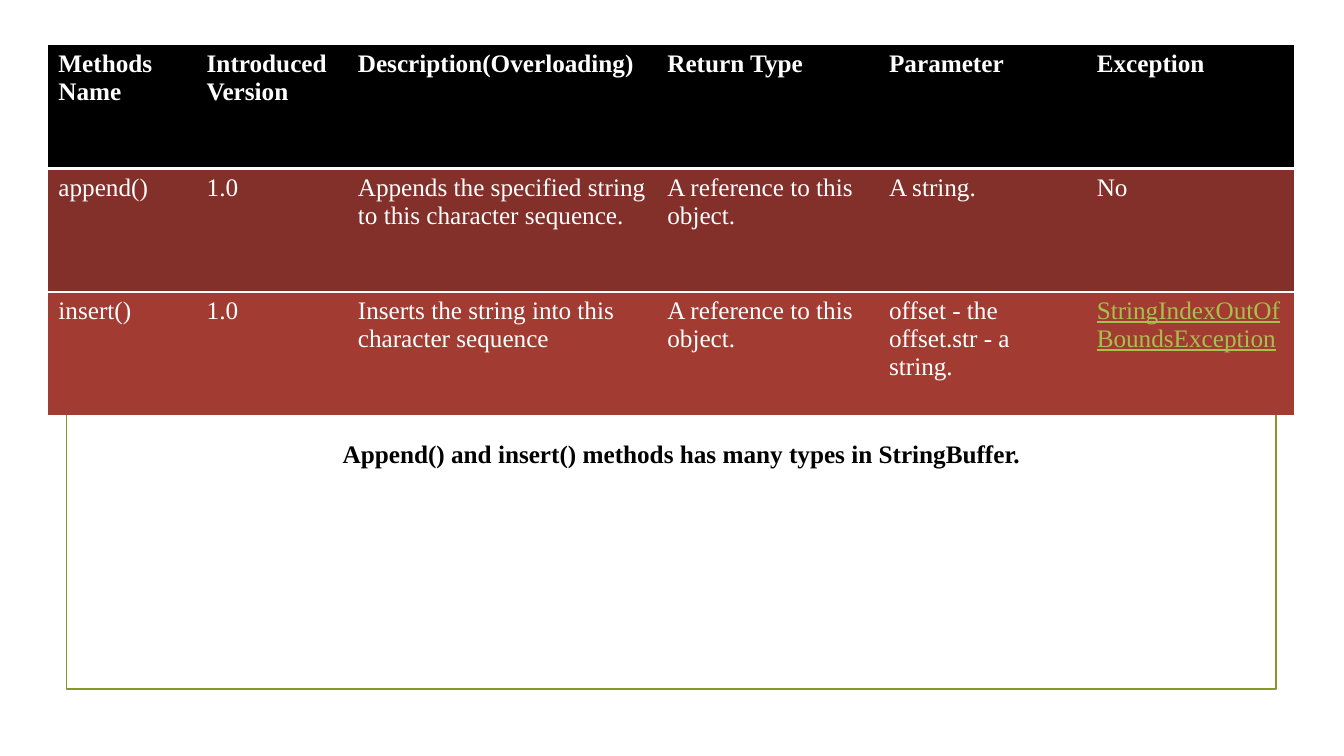
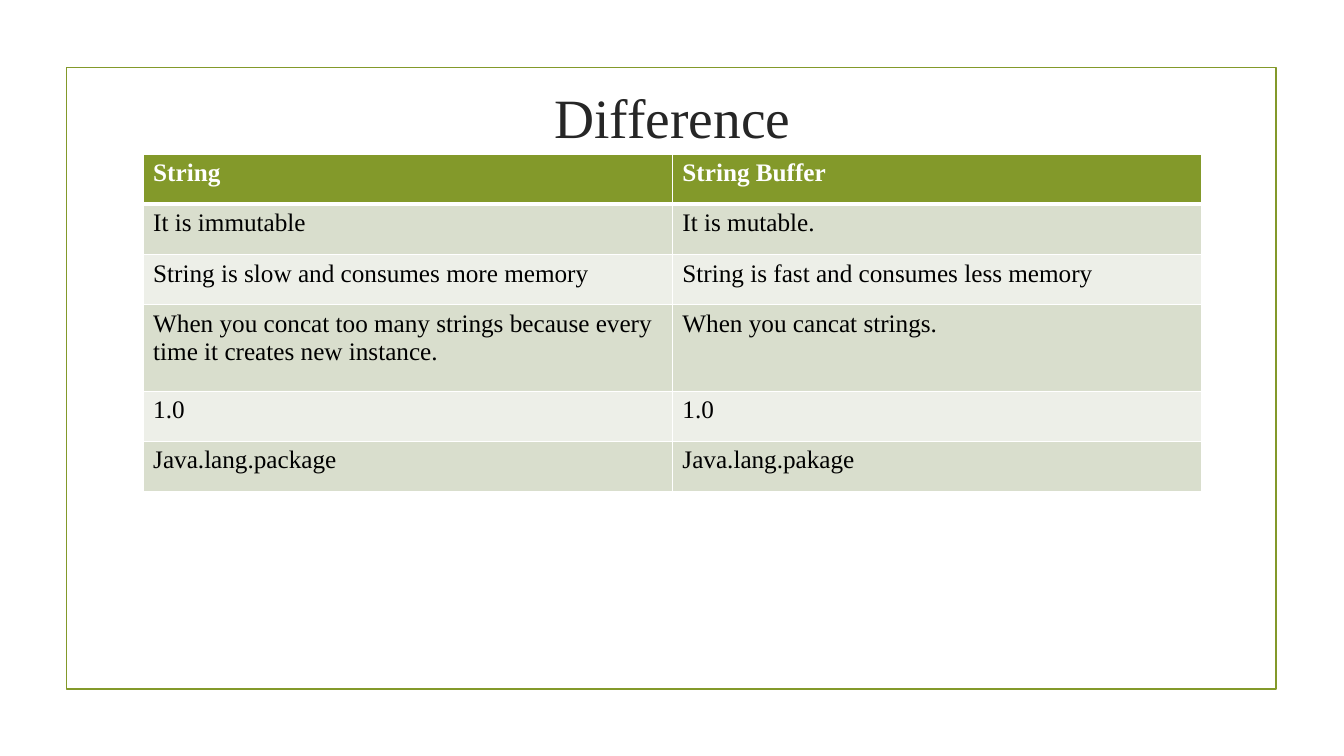
from dataclasses import dataclass
from typing import Any, NamedTuple

from lxml.etree import SubElement
from pptx import Presentation
from pptx.dml.color import RGBColor
from pptx.enum.shapes import MSO_SHAPE
from pptx.enum.text import MSO_ANCHOR, PP_ALIGN
from pptx.oxml.ns import qn
from pptx.util import Inches, Pt

WIDE, HIGH = Inches(13.33), Inches(7.5)
FONT = "Times New Roman"
WHITE, BLACK, GRAY = "FFFFFF", "000000", "262626"
OLIVE, LIME = "83992A", "A8BF4D"
NO_STYLE = "{2D5ABB26-0587-4C30-8999-92F81FD0307C}"
BODY = {"name": FONT, "size": Pt(18), "bold": False}
BOLD = BODY | {"bold": True}
TITLE = BODY | {"size": Pt(39.6)}
LINK = BODY | {"underline": True}


class Box(NamedTuple):
    left: float
    top: float
    width: float
    height: float


@dataclass(frozen=True)
class Label:
    text: str
    box: Box
    style: dict[str, Any]
    color: str
    align: PP_ALIGN = PP_ALIGN.LEFT
    anchor: MSO_ANCHOR = MSO_ANCHOR.TOP


@dataclass(frozen=True)
class Grid:
    left: float
    top: float
    cols: list[float]
    rows: list[float]
    cells: list[list[str]]
    head: str
    bands: tuple[str, str]
    ink: str
    rule: float
    line: float = 0
    link: str = ""


@dataclass(frozen=True)
class Page:
    grid: Grid
    label: Label


FRAME = Box(4.95, 8.93, 90, 82.27)

PAGES = [
    Page(
        Grid(
            3.6, 6, [11.03, 11.25, 23.03, 16.5, 15.45, 15.45], [16.3] * 3,
            [
                ["Methods Name", "Introduced Version", "Description(Overloading)",
                 "Return Type", "Parameter", "Exception"],
                ["append()", "1.0",
                 "Appends the specified string to this character sequence.",
                 "A reference to this object.", "A string.", "No"],
                ["insert()", "1.0", "Inserts the string into this character sequence",
                 "A reference to this object.", "offset - the offset.str - a string.",
                 "StringIndexOutOfBoundsException"],
            ],
            BLACK, ("823029", "A23C33"), WHITE, 2,
            link="StringIndexOutOfBoundsException",
        ),
        Label("Append() and insert() methods has many types in StringBuffer.",
              Box(24.76, 57.33, 54.7, 5.33), BOLD, BLACK),
    ),
    Page(
        Grid(
            10.65, 20.4, [39.38] * 2, [6.63, 6.63, 6.63, 11.47, 6.63, 6.63],
            [
                ["String", "String Buffer"],
                ["It is immutable", "It is mutable."],
                ["String is slow and consumes more memory",
                 "String is fast and consumes less memory"],
                ["When you concat too many strings because every time it creates new instance.",
                 "When you cancat strings."],
                ["1.0", "1.0"],
                ["Java.lang.package", "Java.lang.pakage"],
            ],
            OLIVE, ("D9DECD", "EDEFE8"), BLACK, 3, line=1,
        ),
        Label("Difference", Box(10.65, 10.27, 78.76, 10.13), TITLE, GRAY,
              PP_ALIGN.CENTER, MSO_ANCHOR.MIDDLE),
    ),
]


def rgb(code: str) -> RGBColor:
    return RGBColor.from_string(code)


def across(share: float) -> int:
    return round(WIDE * share / 100)


def down(share: float) -> int:
    return round(HIGH * share / 100)


def place(box: Box) -> tuple[int, int, int, int]:
    return across(box.left), down(box.top), across(box.width), down(box.height)


def write(frame: Any, text: str, style: dict[str, Any], color: str) -> None:
    run = frame.paragraphs[0].add_run()
    run.text = text
    for key, value in style.items():
        setattr(run.font, key, value)
    run.font.color.rgb = rgb(color)


def draw_frame(slide: Any) -> None:
    shape = slide.shapes.add_shape(MSO_SHAPE.RECTANGLE, *place(FRAME))
    shape.shadow.inherit = False
    shape.fill.background()
    shape.line.color.rgb = rgb(OLIVE)
    shape.line.width = Pt(1.25)


def draw_label(slide: Any, label: Label) -> None:
    frame = slide.shapes.add_textbox(*place(label.box)).text_frame
    frame.word_wrap = True
    frame.vertical_anchor = label.anchor
    frame.paragraphs[0].alignment = label.align
    write(frame, label.text, label.style, label.color)


def edge(cell: Any, sides: dict[str, float]) -> None:
    props = cell._tc.get_or_add_tcPr()
    for side, width in sides.items():
        if width:
            line = SubElement(props, qn(f"a:ln{side}"), w=str(Pt(width)))
            fill = SubElement(line, qn("a:solidFill"))
            SubElement(fill, qn("a:srgbClr"), val=WHITE)


def draw_grid(slide: Any, grid: Grid) -> None:
    box = Box(grid.left, grid.top, sum(grid.cols), sum(grid.rows))
    table = slide.shapes.add_table(len(grid.rows), len(grid.cols), *place(box)).table
    table.horz_banding = False
    table._tbl.tblPr.find(qn("a:tableStyleId")).text = NO_STYLE
    for col, share in zip(table.columns, grid.cols):
        col.width = across(share)
    for row, share in zip(table.rows, grid.rows):
        row.height = down(share)
    for r, texts in enumerate(grid.cells):
        shade = grid.bands[(r - 1) % 2] if r else grid.head
        sides = {
            "L": grid.line,
            "R": grid.line,
            "T": grid.rule if r == 1 else grid.line,
            "B": grid.line if r else grid.rule,
        }
        for c, text in enumerate(texts):
            cell = table.cell(r, c)
            edge(cell, sides)
            cell.fill.solid()
            cell.fill.fore_color.rgb = rgb(shade)
            if r == 0:
                style, color = BOLD, WHITE
            elif text == grid.link:
                style, color = LINK, LIME
            else:
                style, color = BODY, grid.ink
            write(cell.text_frame, text, style, color)


def main() -> None:
    deck = Presentation()
    deck.slide_width, deck.slide_height = WIDE, HIGH
    for page in PAGES:
        slide = deck.slides.add_slide(deck.slide_layouts[6])
        draw_frame(slide)
        draw_label(slide, page.label)
        draw_grid(slide, page.grid)
    deck.save("out.pptx")


if __name__ == "__main__":
    main()
